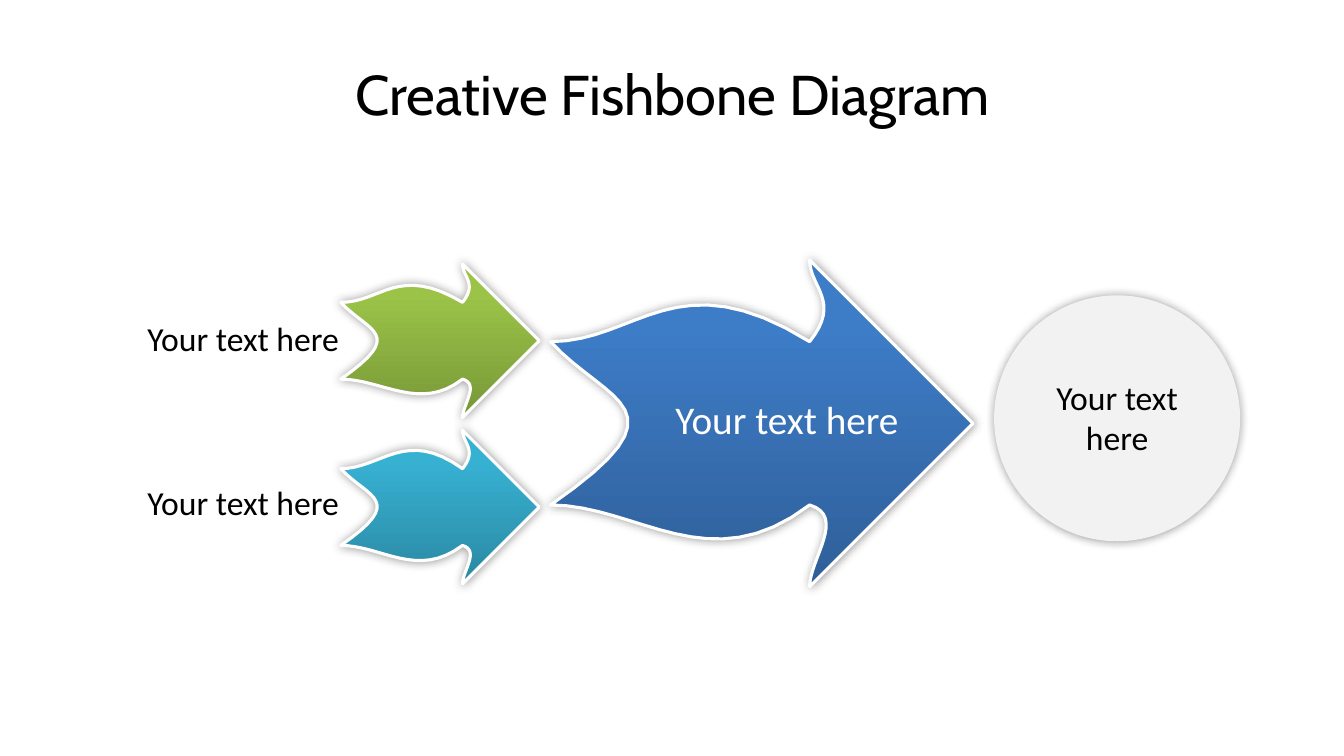
"""Build a fishbone slide of three fish arrows and a goal circle."""
import pptx
import pptx.dml.color
import pptx.enum.shapes
import pptx.enum.text
import pptx.oxml
import pptx.oxml.ns
import pptx.util

PX = 9144
STEPS = 16
COLORS = {
    "black": "000000", "white": "FFFFFF", "grey": "F2F2F2",
    "navy": "2F5F99", "blue": "3D7CC7",
    "moss": "779737", "lime": "9BC348",
    "teal": "2A88A2", "aqua": "37B1D2",
}
ALIGN = pptx.enum.text.PP_ALIGN
ANCHOR = pptx.enum.text.MSO_ANCHOR
LABEL = "Your text here"


def color(name):
    return pptx.dml.color.RGBColor.from_string(COLORS[name])


def add_glow(shape):
    shape.shadow.inherit = False
    effects = shape.element.spPr.find(pptx.oxml.ns.qn("a:effectLst"))
    effects.append(pptx.oxml.parse_xml(
        f'<a:outerShdw {pptx.oxml.ns.nsdecls("a")} blurRad="88900" dist="0" '
        'dir="0" algn="ctr" rotWithShape="0">'
        f'<a:srgbClr val="{COLORS["black"]}"><a:alpha val="40000"/></a:srgbClr>'
        '</a:outerShdw>'))


def add_text(slide, box, text, size, align, tint="black", font="Calibri",
             anchor=ANCHOR.TOP):
    frame = slide.shapes.add_textbox(*(n * PX for n in box)).text_frame
    frame.word_wrap = True
    frame.vertical_anchor = anchor
    frame.text = text
    para = frame.paragraphs[0]
    para.alignment = align
    style = para.runs[0].font
    style.name = font
    style.size = pptx.util.Pt(size)
    style.color.rgb = color(tint)


def curve(start, first, second, end):
    points = []
    for step in range(1, STEPS + 1):
        t = step / STEPS
        parts = ((1 - t) ** 3, 3 * t * (1 - t) ** 2, 3 * t * t * (1 - t), t ** 3)
        points.append(tuple(
            sum(part * spot[axis]
                for part, spot in zip(parts, (start, first, second, end)))
            for axis in (0, 1)))
    return points


def outline(back, belly):
    return [
        *curve((0, 0), (86, 0), back, (257, 0)),
        *curve((257, 0), (289, -40), (257, -54), (257, -81)),
        (419, 81), (257, 243),
        *curve((257, 243), (257, 216), (294, 173), (257, 162)),
        *curve((257, 162), belly, (86, 162), (0, 162)),
        *curve((0, 162), (140, 65), (57, 62), (0, 0))[:-1],
    ]


def add_fish(slide, left, top, ratio, back, belly, dark, light):
    points = [((left + x * ratio) * PX, (top + y * ratio) * PX)
              for x, y in outline(back, belly)]
    pen = slide.shapes.build_freeform(left * PX, top * PX)
    pen.add_line_segments(points, close=True)
    fish = pen.convert_to_shape()
    fish.fill.gradient()
    fish.fill.gradient_angle = 90
    for stop, tint, place in zip(fish.fill.gradient_stops, (dark, light), (0, 0.8)):
        stop.color.rgb = color(tint)
        stop.position = place
    fish.line.color.rgb = color("white")
    fish.line.width = pptx.util.Pt(2.25)
    add_glow(fish)


def add_disc(slide, left, top, size):
    disc = slide.shapes.add_shape(
        pptx.enum.shapes.MSO_SHAPE.OVAL, left * PX, top * PX, size * PX, size * PX)
    disc.fill.solid()
    disc.fill.fore_color.rgb = color("grey")
    disc.line.fill.background()
    add_glow(disc)


def main():
    deck = pptx.Presentation()
    deck.slide_width, deck.slide_height = 1333 * PX, 750 * PX
    slide = deck.slides.add_slide(deck.slide_layouts[6])
    add_text(slide, (67, 30, 1200, 125), "Creative Fishbone Diagram", 40,
             ALIGN.CENTER, font="Cabin", anchor=ANCHOR.MIDDLE)
    add_fish(slide, 546, 339, 1, (125, -82), (158, 238), "navy", "blue")
    causes = (
        (300, 310, (121, -81), (168, 232), "moss", "lime"),
        (465, 473, (136, -87), (162, 234), "teal", "aqua"),
    )
    for top, label, *look in causes:
        add_fish(slide, 338, top, 0.47, *look)
        add_text(slide, (103, label, 243, 58), LABEL, 24, ALIGN.RIGHT)
    add_text(slide, (622, 387, 279, 65), LABEL, 28, ALIGN.RIGHT, "white")
    add_disc(slide, 986, 293, 244)
    add_text(slide, (1025, 369, 166, 91), LABEL, 24, ALIGN.CENTER)
    deck.save("out.pptx")


if __name__ == "__main__":
    main()
